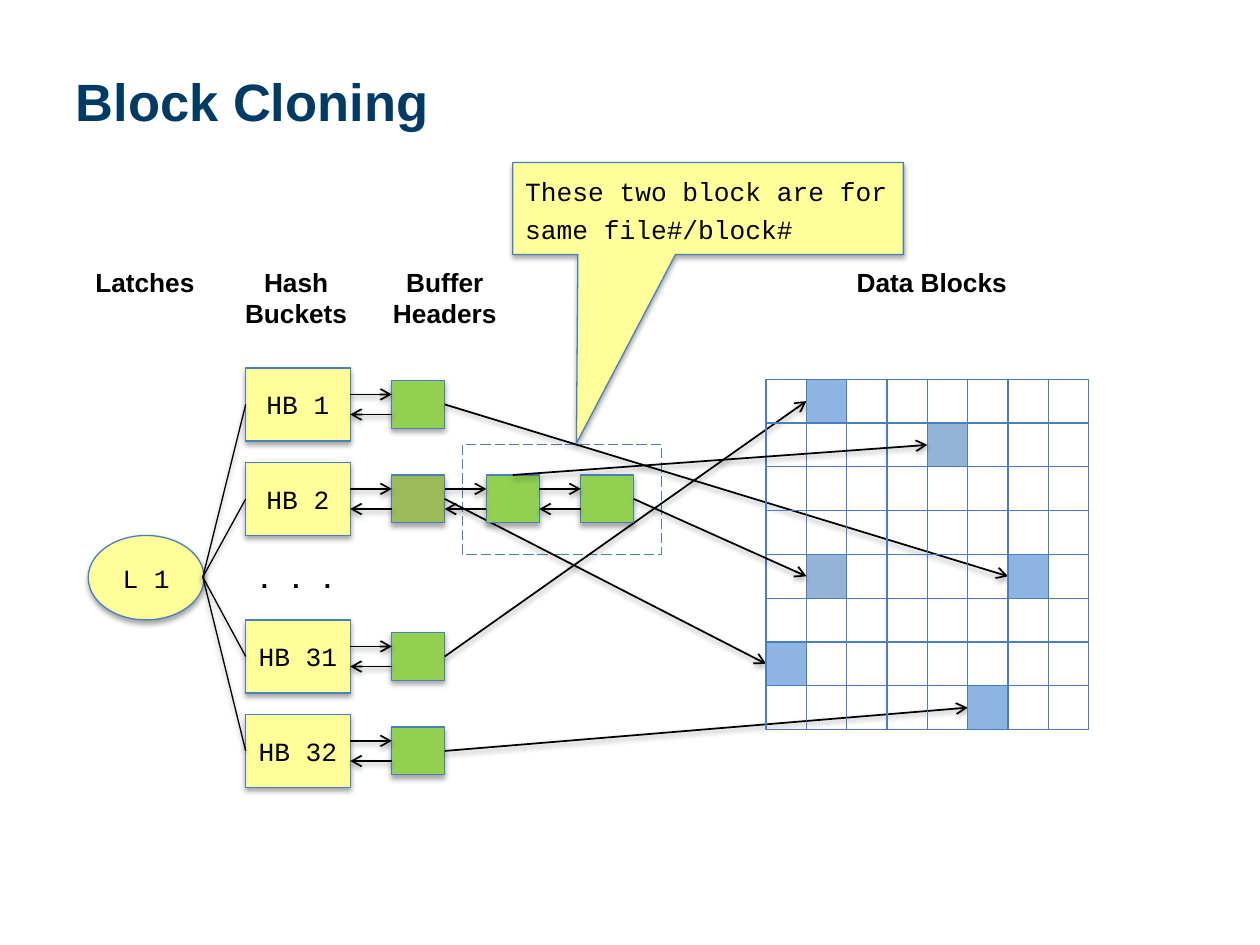
from lxml.etree import SubElement
from pptx import Presentation
from pptx.dml.color import RGBColor
from pptx.enum.dml import MSO_LINE
from pptx.enum.shapes import MSO_CONNECTOR, MSO_SHAPE
from pptx.enum.text import MSO_ANCHOR, PP_ALIGN
from pptx.oxml.ns import qn
from pptx.util import Inches, Pt

NAVY = RGBColor(0x00, 0x3A, 0x65)
BLACK = RGBColor(0x00, 0x00, 0x00)
WHITE = RGBColor(0xFF, 0xFF, 0xFF)
YELLOW = RGBColor(0xFF, 0xFF, 0x99)
GREEN = RGBColor(0x92, 0xD0, 0x50)
OLIVE = RGBColor(0x9B, 0xBB, 0x59)
OUTLINE = RGBColor(0x4B, 0x7E, 0xBC)
BLUE = RGBColor(0x8E, 0xB4, 0xE3)
GREY_BLUE = RGBColor(0x95, 0xB3, 0xD7)

# Hash bucket rows and the chain of buffer headers
BUCKETS = {"HB 1": 2.92, "HB 2": 3.67, "HB 31": 4.92, "HB 32": 5.67}
BUCKET_LEFT, BUCKET_WIDTH, BUCKET_HEIGHT = 1.95, 0.83, 0.58
CHAIN_LEFT, CHAIN_STEP = 3.11, 0.75
HEADER_WIDTH, HEADER_HEIGHT, HEADER_DROP = 0.42, 0.38, 0.1
LINK_LENGTH = CHAIN_STEP - HEADER_WIDTH

# Grid of data blocks
GRID_LEFT, GRID_TOP, GRID_SIZE = 6.08, 3.01, 8
CELL_WIDTH, CELL_HEIGHT = 0.32, 2.78 / GRID_SIZE
USED_BLOCKS = {(1, 0): BLUE, (4, 1): GREY_BLUE, (1, 4): GREY_BLUE,
               (6, 4): BLUE, (0, 6): BLUE, (5, 7): BLUE}


def add_shadow(shape, alpha, distance):
    """Put a soft shadow under a shape or connector."""
    properties = shape._element.spPr
    effects = properties.find(qn("a:effectLst"))
    if effects is None:
        effects = SubElement(properties, qn("a:effectLst"))
    shadow = SubElement(effects, qn("a:outerShdw"), blurRad=str(Pt(3.1)),
                        dist=str(Pt(distance)), dir="5400000", rotWithShape="0")
    color = SubElement(shadow, qn("a:srgbClr"), val="000000")
    SubElement(color, qn("a:alpha"), val=str(alpha * 1000))


def add_box(page, kind, place, fill=None, outline=OUTLINE, shadow=False):
    box = page.shapes.add_shape(kind, *(Inches(length) for length in place))
    box.shadow.inherit = False
    if fill is None:
        box.fill.background()
    else:
        box.fill.solid()
        box.fill.fore_color.rgb = fill
    if outline is None:
        box.line.fill.background()
    else:
        box.line.color.rgb = outline
        box.line.width = Pt(0.75)
    if shadow:
        add_shadow(box, 35, 1.8)
    return box


def write(box, lines, font="Courier New", bold=False,
          anchor=MSO_ANCHOR.MIDDLE, align=PP_ALIGN.CENTER):
    frame = box.text_frame
    frame.word_wrap = True
    frame.vertical_anchor = anchor
    frame.margin_left = frame.margin_right = Inches(0.1)
    frame.margin_top = frame.margin_bottom = Inches(0.1)
    frame.text = "\n".join(lines)
    for number, para in enumerate(frame.paragraphs):
        para.alignment = align
        if number:
            para.space_before = Pt(4)
        for span in para.runs:
            span.font.name = font
            span.font.size = Pt(15)
            span.font.bold = bold
            span.font.color.rgb = BLACK


def add_line(page, start, end, width=1, arrow=True):
    line = page.shapes.add_connector(
        MSO_CONNECTOR.STRAIGHT, *(Inches(length) for length in (*start, *end)))
    line.line.color.rgb = BLACK
    line.line.width = Pt(width)
    if arrow:
        SubElement(line.line._get_or_add_ln(), qn("a:tailEnd"), type="arrow")
    add_shadow(line, 38, 1.6)


def add_label(page, text, left, width=1.08):
    box = add_box(page, MSO_SHAPE.RECTANGLE, (left, 2.01, width, 0.7), WHITE, None)
    write(box, [text], "Arial", True, MSO_ANCHOR.TOP)


def header_corner(bucket, place=0):
    return CHAIN_LEFT + place * CHAIN_STEP, BUCKETS[bucket] + HEADER_DROP


def header_exit(bucket, place=0):
    left, top = header_corner(bucket, place)
    return left + HEADER_WIDTH, top + HEADER_HEIGHT / 2


def block_entry(column, row):
    return GRID_LEFT + column * CELL_WIDTH, GRID_TOP + (row + 0.5) * CELL_HEIGHT


def add_header(page, bucket, place=0, fill=GREEN):
    """Draw a buffer header with the two links to what stands before it."""
    left, top = header_corner(bucket, place)
    add_box(page, MSO_SHAPE.RECTANGLE, (left, top, HEADER_WIDTH, HEADER_HEIGHT),
            fill, shadow=True)
    before = left - LINK_LENGTH
    add_line(page, (before, top + 0.11), (left, top + 0.11))
    add_line(page, (left, top + 0.27), (before, top + 0.27))


def add_latch_and_buckets(page):
    latch = add_box(page, MSO_SHAPE.OVAL, (0.7, 4.25, 0.92, 0.67), YELLOW, shadow=True)
    write(latch, ["L 1"])
    for name, top in BUCKETS.items():
        bucket = add_box(page, MSO_SHAPE.RECTANGLE,
                         (BUCKET_LEFT, top, BUCKET_WIDTH, BUCKET_HEIGHT),
                         YELLOW, shadow=True)
        write(bucket, [name])
    dots = add_box(page, MSO_SHAPE.RECTANGLE, (1.81, 4.36, 1.08, 0.43), WHITE, None)
    write(dots, [". . ."], bold=True, anchor=MSO_ANCHOR.TOP)
    for top in BUCKETS.values():
        add_line(page, (1.61, 4.58), (BUCKET_LEFT, top + BUCKET_HEIGHT / 2), 0.75, False)


def add_data_blocks(page):
    for row in range(GRID_SIZE):
        for column in range(GRID_SIZE):
            place = (GRID_LEFT + column * CELL_WIDTH, GRID_TOP + row * CELL_HEIGHT,
                     CELL_WIDTH, CELL_HEIGHT)
            add_box(page, MSO_SHAPE.RECTANGLE, place, USED_BLOCKS.get((column, row)))


def add_title(page, text):
    title = page.shapes.title
    title.left, title.top = Inches(0.5), Inches(0.3)
    title.width, title.height = Inches(9.01), Inches(0.99)
    title.text_frame.text = text
    title.text_frame.vertical_anchor = MSO_ANCHOR.MIDDLE
    para = title.text_frame.paragraphs[0]
    para.alignment = PP_ALIGN.LEFT
    font = para.runs[0].font
    font.name, font.size, font.bold = "Arial", Pt(30), True
    font.color.rgb = NAVY


def main():
    deck = Presentation()
    deck.slide_width, deck.slide_height = Inches(10), Inches(7.5)
    page = deck.slides.add_slide(deck.slide_layouts[5])
    add_title(page, "Block Cloning")

    # Frame around the cloned pair
    pair = add_box(page, MSO_SHAPE.RECTANGLE, (3.67, 3.53, 1.58, 0.87), WHITE)
    pair.line.dash_style = MSO_LINE.LONG_DASH

    # Column labels
    for text, left in (("Latches", 0.61), ("Hash Buckets", 1.81), ("Buffer Headers", 2.99)):
        add_label(page, text, left)
    add_label(page, "Data Blocks", 5.96, 2.87)

    # Latch, buckets and the first header of each chain
    add_latch_and_buckets(page)
    for bucket in BUCKETS:
        add_header(page, bucket, fill=OLIVE if bucket == "HB 2" else GREEN)

    # Pointers from first headers to data blocks
    for bucket, block in zip(BUCKETS, ((6, 4), (0, 6), (1, 0), (5, 7))):
        add_line(page, header_exit(bucket), block_entry(*block))
    add_data_blocks(page)

    # Cloned headers and their pointers
    add_header(page, "HB 2", 1)
    left, top = header_corner("HB 2", 1)
    add_line(page, (left + HEADER_WIDTH / 2, top), block_entry(4, 1))
    add_header(page, "HB 2", 2)
    add_line(page, header_exit("HB 2", 2), block_entry(1, 4))

    # Callout
    callout = add_box(page, MSO_SHAPE.RECTANGULAR_CALLOUT, (4.07, 1.29, 3.1, 0.73),
                      YELLOW, shadow=True)
    callout.adjustments[0], callout.adjustments[1] = -0.337, 2.553
    write(callout, ["These two block are for", "same file#/block#"],
          anchor=MSO_ANCHOR.TOP, align=PP_ALIGN.LEFT)

    deck.save("out.pptx")


if __name__ == "__main__":
    main()
